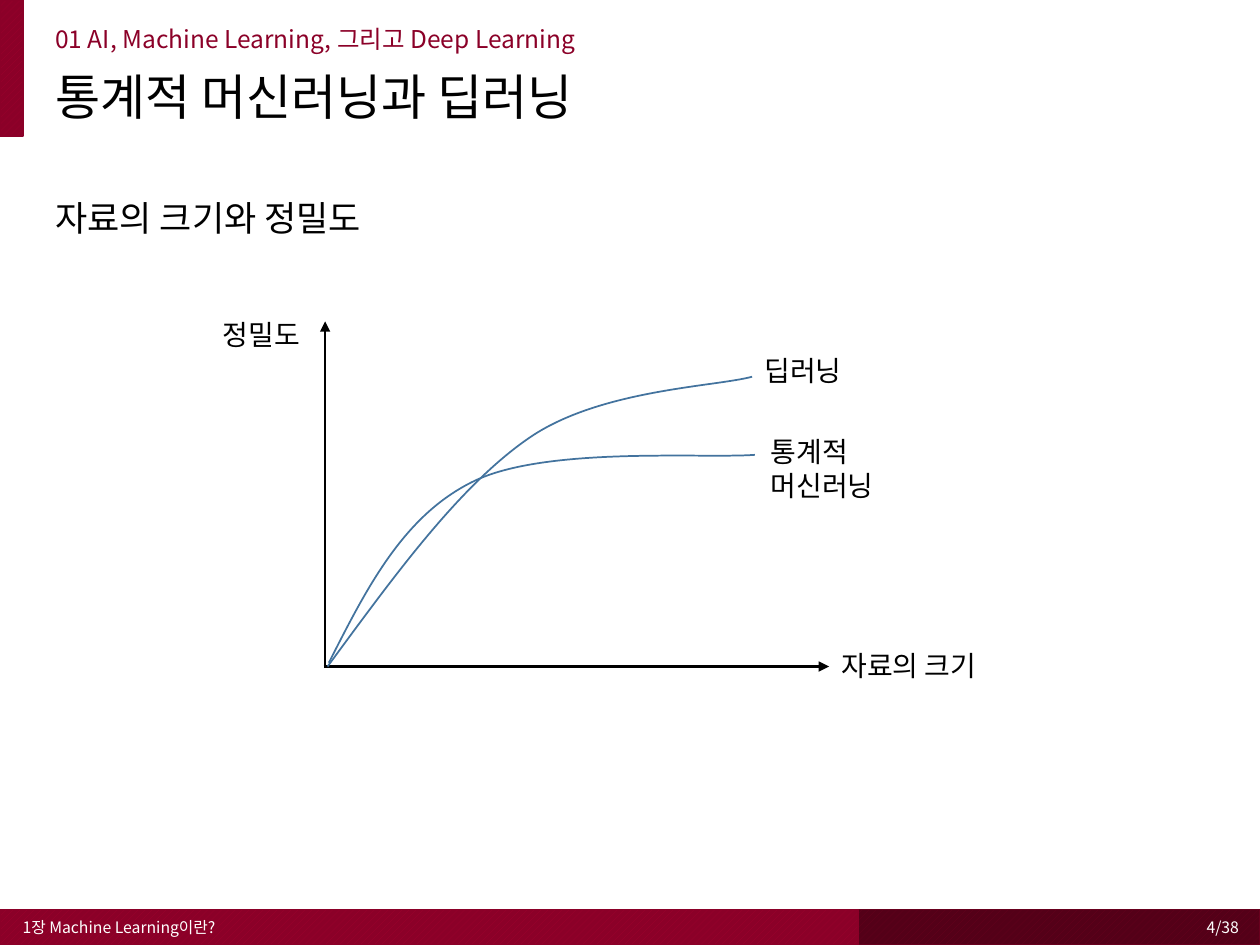
from lxml import etree
from pptx import Presentation
from pptx.dml.color import RGBColor
from pptx.enum.dml import MSO_PATTERN
from pptx.enum.shapes import MSO_CONNECTOR, MSO_SHAPE
from pptx.enum.text import MSO_ANCHOR, PP_ALIGN
from pptx.oxml.ns import qn
from pptx.util import Pt

FONT = "Noto Sans CJK KR"
rgb = RGBColor.from_string


def write(s, box, text, size, color="000000", spacing=None, before=0,
          align=PP_ALIGN.LEFT, anchor=MSO_ANCHOR.TOP):
    """Place a text shape and give it one formatted run."""
    s.left, s.top, s.width, s.height = [Pt(v) for v in box]
    tf = s.text_frame
    tf.word_wrap = True
    tf.vertical_anchor = anchor
    p = tf.paragraphs[0]
    p.alignment = align
    p.line_spacing = spacing
    p.space_before = Pt(before)
    r = p.add_run()
    r.text = text
    r.font.size = Pt(size)
    r.font.name = FONT
    r.font.color.rgb = rgb(color)
    etree.SubElement(r.font._element, qn("a:ea"), typeface=FONT)


prs = Presentation()
prs.slide_width, prs.slide_height = Pt(720), Pt(540)
slide = prs.slides.add_slide(prs.slide_layouts[5])
shapes = slide.shapes

# Footer bands and the bar beside the title
bands = [
    ((481, 519.8, 239, 20.2), "68001E", "540018", "68001E"),
    ((0, 519.8, 490.3, 20.2), "9E002D", "8B0028", "8B0028"),
    ((0, 0, 13, 77.8), "9E002D", "8B0028", "8B0028"),
]
for box, fore, back, edge in bands:
    s = shapes.add_shape(MSO_SHAPE.RECTANGLE, *[Pt(v) for v in box])
    s.shadow.inherit = False
    s.fill.patterned()
    s.fill.pattern = MSO_PATTERN.WIDE_UPWARD_DIAGONAL
    s.fill.fore_color.rgb = rgb(fore)
    s.fill.back_color.rgb = rgb(back)
    s.line.color.rgb = rgb(edge)
    s.line.width = Pt(1)

# Headings
write(shapes.title, (24.5, 38.2, 664.6, 40.3), "통계적 머신러닝과 딥러닝", 28,
      spacing=0.9, before=7.5)
headings = [
    ((24.5, 12.2, 664.6, 18.7), "01 AI, Machine Learning, 그리고 Deep Learning",
     14, "8B0028", 0.9),
    ((24.5, 96.5, 664.6, 43.9), "자료의 크기와 정밀도", 20, "000000", 1.5),
]
for box, text, size, color, spacing in headings:
    write(shapes.add_textbox(0, 0, 0, 0), box, text, size, color, spacing, 7.5)

# Footer text
footers = [
    ((5.8, 519.8, 243.4, 20.2), "1장 Machine Learning이란?", PP_ALIGN.LEFT),
    ((553, 519.8, 162, 20.2), "4/38", PP_ALIGN.RIGHT),
]
for box, text, align in footers:
    write(shapes.add_textbox(0, 0, 0, 0), box, text, 9, "FFFFFF",
          align=align, anchor=MSO_ANCHOR.MIDDLE)

# Axes
axes = shapes.add_group_shape()
for ends in [(185.8, 380.9, 185.8, 183.6), (185, 380.9, 473.8, 380.9)]:
    s = axes.shapes.add_connector(MSO_CONNECTOR.STRAIGHT, *[Pt(v) for v in ends])
    s.line.color.rgb = rgb("000000")
    s.line.width = Pt(1.5)
    etree.SubElement(s.line._get_or_add_ln(), qn("a:tailEnd"), type="triangle")
    etree.SubElement(s._element.spPr, qn("a:effectLst"))

# Curves: a start point, then two control points and an end point per segment
statistical = [(187.9, 378.7), (209.5, 336.2), (230.4, 294.5), (270.7, 275),
               (311.8, 254.9), (401.8, 262.1), (431.3, 259.9)]
deep = [(187.2, 380.9), (225.4, 329), (262.8, 277.2), (303.1, 249.8),
        (343.4, 222.5), (409, 221), (429.8, 215.3)]
for points in (statistical, deep):
    points = [(Pt(x), Pt(y)) for x, y in points]
    builder = shapes.build_freeform(*points[0])
    builder.add_line_segments(points[3::3], close=False)
    s = builder.convert_to_shape()
    s.shadow.inherit = False
    s.fill.background()
    s.line.color.rgb = rgb("43739E")
    s.line.width = Pt(1)
    for i, segment in enumerate(list(s._element.iter(qn("a:lnTo")))):
        curve = etree.Element(qn("a:cubicBezTo"))
        for x, y in points[3 * i + 1:3 * i + 4]:
            etree.SubElement(curve, qn("a:pt"), x=str(x - s.left), y=str(y - s.top))
        segment.getparent().replace(segment, curve)

# Chart labels
labels = [
    (429.8, 198.7, 61.9, "딥러닝"),
    (433.4, 244.8, 120.2, "통계적 머신러닝"),
    (473.8, 367.2, 101.5, "자료의 크기"),
    (120.2, 177.8, 59, "정밀도"),
]
for left, top, width, text in labels:
    write(shapes.add_textbox(0, 0, 0, 0), (left, top, width, 26.6), text, 16)

prs.save("out.pptx")
